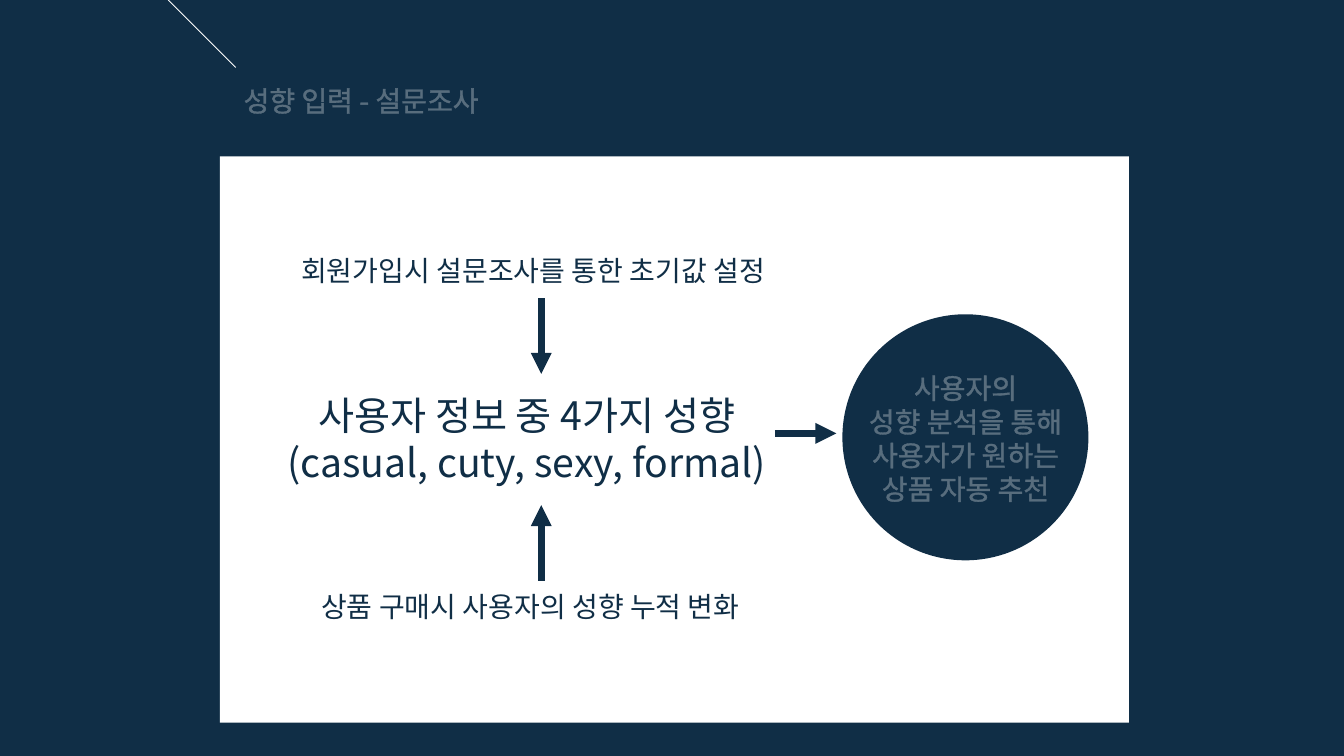
"""Build the slide on survey-based preference input."""
from dataclasses import dataclass

from lxml.etree import SubElement
from pptx import Presentation
from pptx.dml.color import RGBColor
from pptx.enum.shapes import MSO_CONNECTOR as Connector, MSO_SHAPE as Preset
from pptx.enum.text import MSO_AUTO_SIZE as AutoSize, PP_ALIGN as Align
from pptx.oxml import parse_xml
from pptx.oxml.ns import nsdecls, qn
from pptx.slide import Slide
from pptx.util import Cm, Pt

NAVY = RGBColor(0x10, 0x2E, 0x46)
WHITE = RGBColor(0xFF, 0xFF, 0xFF)
FONT = "Noto Sans CJK KR"


@dataclass
class Block:
    """A filled preset shape, measured in centimetres."""
    preset: Preset
    left: float
    top: float
    width: float
    height: float
    color: RGBColor


@dataclass
class Stroke:
    """A straight line between two points in centimetres."""
    start: tuple[float, float]
    end: tuple[float, float]
    color: RGBColor = NAVY
    weight: float = 5
    arrow: bool = True


@dataclass
class Label:
    """A text box, measured in centimetres."""
    text: str
    left: float
    top: float
    width: float
    height: float
    size: int = 20
    color: RGBColor = NAVY
    align: Align = Align.CENTER
    wrap: bool = True


BLOCKS = [
    Block(Preset.RECTANGLE, -0.46, -0.28, 34.39, 19.61, NAVY),
    Block(Preset.RECTANGLE, 5.54, 3.94, 22.91, 14.27, WHITE),
    Block(Preset.OVAL, 21.23, 7.92, 6.2, 6.2, NAVY),
]
STROKES = [
    Stroke((4.24, 0), (5.94, 1.7), WHITE, 0.75, arrow=False),
    Stroke((13.64, 7.52), (13.64, 9.42)),
    Stroke((13.64, 14.63), (13.64, 12.73)),
    Stroke((19.53, 10.92), (21.08, 10.92)),
]
LABELS = [
    Label("성향 입력 - 설문조사", 5.89, 1.98, 6.96, 1.12,
          color=WHITE, align=Align.LEFT, wrap=False),
    Label("회원가입시 설문조사를 통한 초기값 설정 ", 7.34, 6.27, 12.62, 1.12,
          align=Align.LEFT),
    Label("사용자 정보 중 4가지 성향 \n(casual, cuty, sexy, formal) ",
          6.78, 9.73, 13.21, 2.64, size=28),
    Label("상품 구매시 사용자의 성향 누적 변화", 7.06, 14.73, 12.62, 1.12),
    Label("사용자의\n성향 분석을 통해\n사용자가 원하는\n상품 자동 추천",
          21.54, 9.22, 5.59, 3.68, color=WHITE, wrap=False),
]


def draw_block(page: Slide, block: Block) -> None:
    """Add a borderless filled shape."""
    shape = page.shapes.add_shape(
        block.preset, Cm(block.left), Cm(block.top), Cm(block.width), Cm(block.height))
    shape.shadow.inherit = False
    shape.fill.solid()
    shape.fill.fore_color.rgb = block.color
    shape.line.fill.background()


def draw_stroke(page: Slide, stroke: Stroke) -> None:
    """Add a line, with an arrowhead at its end if wanted."""
    line = page.shapes.add_connector(
        Connector.STRAIGHT, *map(Cm, stroke.start), *map(Cm, stroke.end))
    line.line.color.rgb = stroke.color
    line.line.width = Pt(stroke.weight)
    if stroke.arrow:
        SubElement(line.line._get_or_add_ln(), qn("a:tailEnd"), type="triangle")
    SubElement(line._element.spPr, qn("a:effectLst"))


def draw_label(page: Slide, label: Label) -> None:
    """Add a text box whose letters have a translucent outline."""
    box = page.shapes.add_textbox(
        Cm(label.left), Cm(label.top), Cm(label.width), Cm(label.height))
    frame = box.text_frame
    frame.text = label.text
    frame.word_wrap = label.wrap
    frame.auto_size = AutoSize.SHAPE_TO_FIT_TEXT
    for para in frame.paragraphs:
        para.alignment = label.align
        for span in para.runs:
            span.font.size = Pt(label.size)
            span.font.name = FONT
            span.font.color.rgb = label.color
            properties = span._r.get_or_add_rPr()
            SubElement(properties, qn("a:ea"), typeface=FONT)
            properties.insert(0, parse_xml(
                f'<a:ln {nsdecls("a")} w="{Pt(0.75)}"><a:solidFill>'
                f'<a:srgbClr val="{label.color}"><a:alpha val="30000"/></a:srgbClr>'
                '</a:solidFill></a:ln>'))


def main() -> None:
    """Draw the slide and save the deck."""
    deck = Presentation()
    deck.slide_width, deck.slide_height = Cm(33.87), Cm(19.05)
    page = deck.slides.add_slide(deck.slide_layouts[6])
    for block in BLOCKS:
        draw_block(page, block)
    for stroke in STROKES:
        draw_stroke(page, stroke)
    for label in LABELS:
        draw_label(page, label)
    deck.save("out.pptx")


main()
